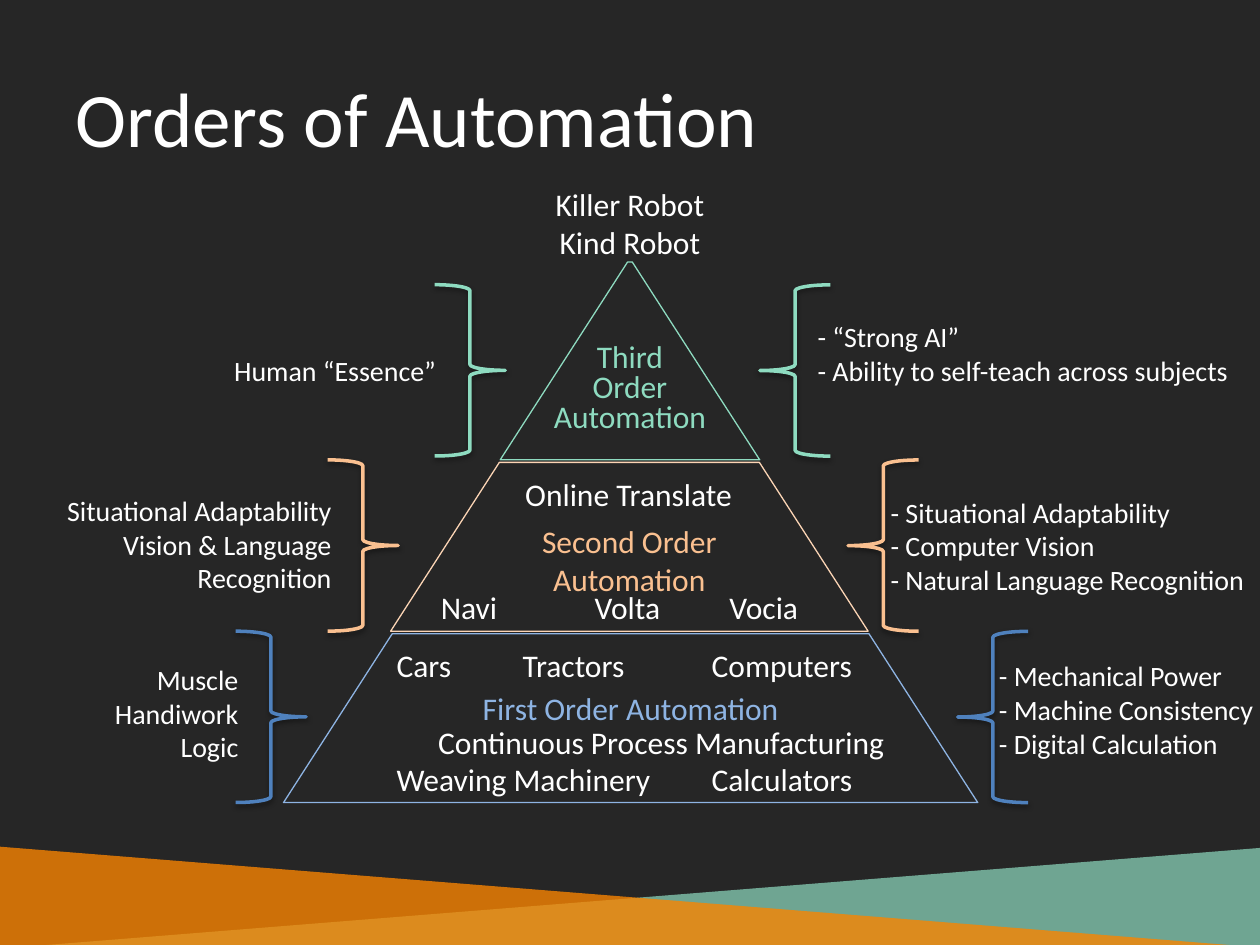
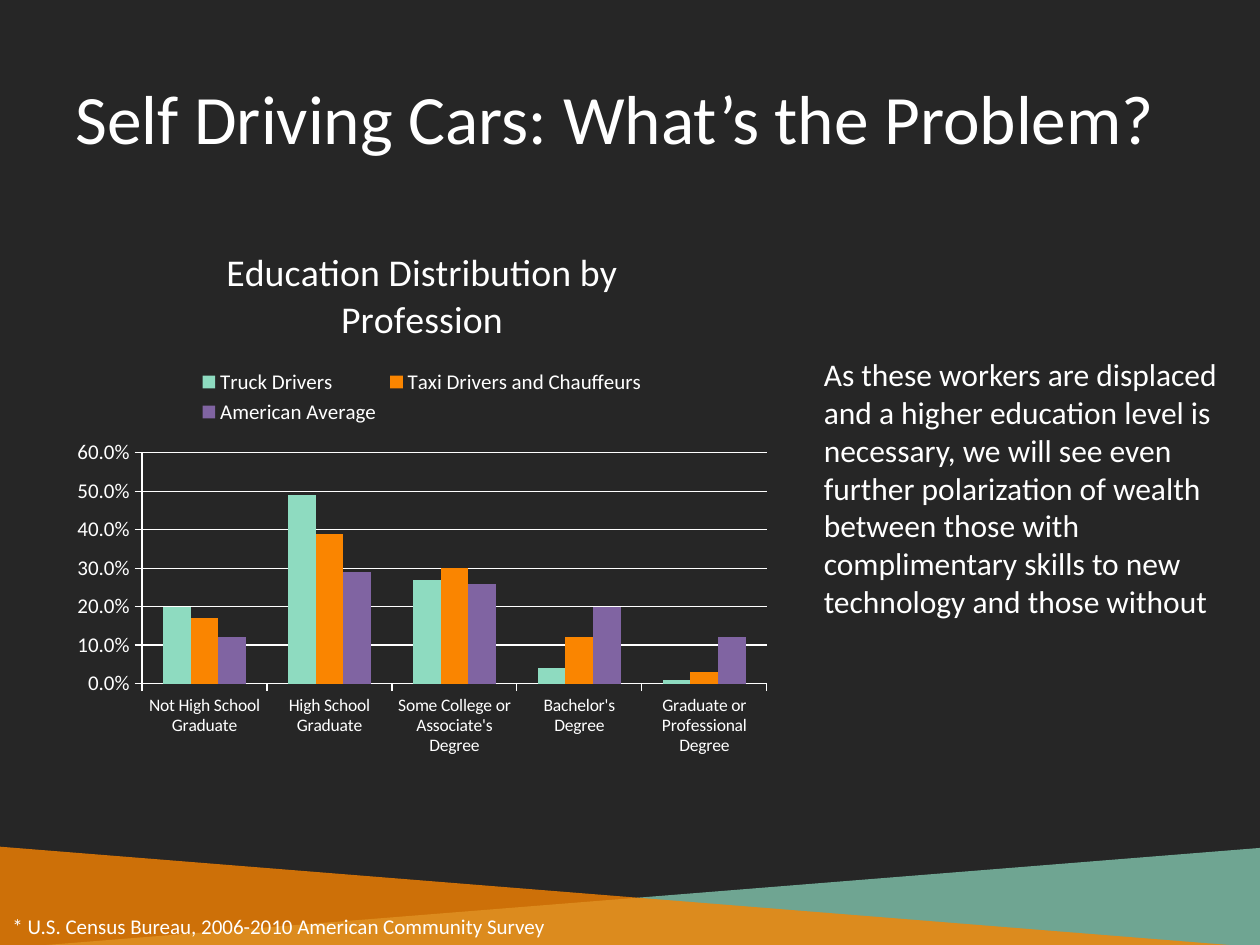
from lxml.etree import SubElement
from pptx import Presentation
from pptx.chart.data import CategoryChartData
from pptx.dml.color import RGBColor
from pptx.enum.chart import XL_CHART_TYPE, XL_LEGEND_POSITION, XL_TICK_MARK
from pptx.enum.shapes import MSO_SHAPE
from pptx.enum.text import MSO_ANCHOR, PP_ALIGN
from pptx.oxml.ns import qn
from pptx.util import Inches, Pt

COLORS = {
    "background": "262626", "text": "FFFFFF", "mint": "8EDBC0",
    "orange": "FA8500", "peach": "FAC090", "pale peach": "FCD5B5",
    "blue": "4F81BD", "pale blue": "8EB4E3", "purple": "8064A2",
    "shadow": "000000",
}
RGB = {name: RGBColor.from_string(value) for name, value in COLORS.items()}
FONT = "Calibri"


def write(shape, lines, size=18, color="text", anchor=MSO_ANCHOR.TOP, **paragraph_format):
    """Fill a shape's text frame, one paragraph for each line."""
    frame = shape.text_frame
    frame.word_wrap = True
    frame.vertical_anchor = anchor
    for index, line in enumerate(lines):
        para = frame.paragraphs[0] if index == 0 else frame.add_paragraph()
        for name, value in paragraph_format.items():
            setattr(para, name, value)
        span = para.add_run()
        span.text = line
        for name, value in {"name": FONT, "size": Pt(size), "bold": False}.items():
            setattr(span.font, name, value)
        span.font.color.rgb = RGB[color]
    return frame


def add_outline(page, kind, at, color, width):
    """Add an unfilled preset shape with a coloured line."""
    shape = page.shapes.add_shape(kind, *map(Inches, at))
    shape.shadow.inherit = False
    shape.fill.background()
    shape.line.color.rgb = RGB[color]
    shape.line.width = Pt(width)
    return shape


deck = Presentation()
deck.slide_width, deck.slide_height = Inches(10), Inches(7.5)

# Shared background, bottom bands and title
titles = [("Orders of Automation", 44), ("Self Driving Cars: What’s the Problem?", 39.6)]
bands = [(6.73, "mint", 70, True), (6.72, "orange", 79, False)]
pages = []
for title, size in titles:
    page = deck.slides.add_slide(deck.slide_layouts[6])
    page.background.fill.solid()
    page.background.fill.fore_color.rgb = RGB["background"]
    for top, color, opacity, flipped in bands:
        band = page.shapes.add_shape(
            MSO_SHAPE.RIGHT_TRIANGLE, 0, Inches(top), deck.slide_width, Inches(0.8))
        band.shadow.inherit = False
        band.line.fill.background()
        band.fill.solid()
        band.fill.fore_color.rgb = RGB[color]
        tint = band.fill._xPr.find(qn("a:solidFill"))[0]
        SubElement(tint, qn("a:alpha"), val=str(opacity * 1000))
        if flipped:
            band._element.spPr.find(qn("a:xfrm")).set("flipH", "1")
    box = page.shapes.add_textbox(*map(Inches, (0.5, 0.3, 9, 1.25)))
    write(box, [title], size, anchor=MSO_ANCHOR.MIDDLE)
    pages.append(page)
pyramid_page, chart_page = pages

# Pyramid levels, from the base to the tip
levels = [
    {"at": (2.25, 5.03, 5.51, 1.34), "edge": "pale blue", "ink": "pale blue",
     "name": "First Order Automation", "brace": "blue", "brace_top": 5.01,
     "brace_lefts": (1.87, 7.6)},
    {"at": (3.1, 3.67, 3.79, 1.34), "edge": "pale peach", "ink": "peach",
     "name": "Second Order Automation", "brace": "peach", "brace_top": 3.65,
     "brace_lefts": (2.6, 6.73)},
    {"at": (3.97, 2.08, 2.06, 1.57), "edge": "mint", "ink": "mint",
     "name": None, "brace": "mint", "brace_top": 2.26,
     "brace_lefts": (3.45, 6.03)},
]
for level in levels:
    block = add_outline(pyramid_page, MSO_SHAPE.TRAPEZOID, level["at"], level["edge"], 0.75)
    block.adjustments[0] = 0.644
    if level["name"]:
        frame = write(block, [level["name"]], color=level["ink"],
                      anchor=MSO_ANCHOR.MIDDLE, alignment=PP_ALIGN.CENTER)
        if level is levels[0]:
            frame.margin_bottom = Inches(0.35)
    for left, rotation in zip(level["brace_lefts"], (0, 180)):
        brace = add_outline(pyramid_page, MSO_SHAPE.RIGHT_BRACE,
                            (left, level["brace_top"], 0.56, 1.36), level["brace"], 2)
        brace.rotation = rotation
        effects = brace._element.spPr.find(qn("a:effectLst"))
        shadow = SubElement(effects, qn("a:outerShdw"), blurRad=str(Pt(3.1)),
                            dist=str(Pt(1.6)), dir="5400000", rotWithShape="0")
        tint = SubElement(shadow, qn("a:srgbClr"), val=COLORS["shadow"])
        SubElement(tint, qn("a:alpha"), val="38000")

# Name of the top level
box = pyramid_page.shapes.add_textbox(*map(Inches, (3.88, 2.63, 2.24, 0.87)))
write(box, ["Third", "Order", "Automation"], color="mint", anchor=MSO_ANCHOR.BOTTOM,
      alignment=PP_ALIGN.CENTER, line_spacing=0.8)

# Labels beside the braces and above the tip
labels = [
    ((0.27, 5.21, 1.72, 0.94), 16, PP_ALIGN.RIGHT, ["Muscle", "Handiwork", "Logic"]),
    ((0.1, 3.87, 2.63, 0.91), 16, PP_ALIGN.RIGHT,
     ["Situational Adaptability", "Vision & Language Recognition"]),
    ((0.93, 2.76, 2.63, 0.37), 16, PP_ALIGN.RIGHT, ["Human “Essence”"]),
    ((7.83, 5.18, 2.25, 0.91), 16, PP_ALIGN.LEFT,
     ["- Mechanical Power", "- Machine Consistency", "- Digital Calculation"]),
    ((6.97, 3.88, 3.11, 0.91), 16, PP_ALIGN.LEFT,
     ["- Situational Adaptability", "- Computer Vision", "- Natural Language Recognition"]),
    ((6.39, 2.49, 3.69, 0.64), 16, PP_ALIGN.LEFT,
     ["- “Strong AI”", "- Ability to self-teach across subjects"]),
    ((4, 1.42, 2, 0.71), 18, PP_ALIGN.CENTER, ["Killer Robot", "Kind Robot"]),
]
for at, size, alignment, lines in labels:
    box = pyramid_page.shapes.add_textbox(*map(Inches, at))
    write(box, lines, size, alignment=alignment)

# Examples in the pyramid: line, space before, indent, tab stops
examples = [
    ((3.05, 5.08, 4.13, 1.31), [
        ("Cars\tTractors\tComputers", 0, 0, (1, 2.5)),
        ("Continuous Process Manufacturing", 22, 0.33, ()),
        ("Weaving Machinery\tCalculators", 0, 0, (2.5,))]),
    ((3.4, 3.72, 3.75, 1.31), [
        ("Online Translate", 0, 0.67, ()),
        ("Navi\tVolta\tVocia", 43, 0, (1.22, 2.29))]),
]
for at, rows in examples:
    box = pyramid_page.shapes.add_textbox(*map(Inches, at))
    frame = write(box, [row[0] for row in rows])
    for para, (_, space, indent, stops) in zip(frame.paragraphs, rows):
        para.space_before = Pt(space)
        properties = para._p.get_or_add_pPr()
        properties.set("marL", str(Inches(indent)))
        if stops:
            tabs = SubElement(properties, qn("a:tabLst"))
            for stop in stops:
                SubElement(tabs, qn("a:tab"), pos=str(Inches(stop)), algn="l")

# Education chart
data = CategoryChartData(number_format="0.0%")
data.categories = ["Not High School Graduate", "High School Graduate",
                   "Some College or Associate's Degree", "Bachelor's Degree",
                   "Graduate or Professional Degree"]
professions = [
    ("Truck Drivers", "mint", (0.2, 0.49, 0.27, 0.04, 0.01)),
    ("Taxi Drivers and Chauffeurs", "orange", (0.17, 0.39, 0.3, 0.12, 0.03)),
    ("American Average", "purple", (0.12, 0.29, 0.26, 0.2, 0.12)),
]
for name, _, values in professions:
    data.add_series(name, values)
chart = chart_page.shapes.add_chart(
    XL_CHART_TYPE.COLUMN_CLUSTERED, *map(Inches, (0.5, 1.75, 5.7, 4.33)), data).chart
chart.has_title = True
heading = write(chart.chart_title, ["Education Distribution by Profession"], 21.6)
heading.word_wrap = False
chart.chart_title.include_in_layout = False
chart.has_legend = True
chart.legend.position = XL_LEGEND_POSITION.TOP
chart.legend.include_in_layout = False
for part, size in [(chart, 18), (chart.legend, 12)]:
    part.font.name, part.font.size = FONT, Pt(size)
    part.font.color.rgb = RGB["text"]
for axis, size in [(chart.category_axis, 10), (chart.value_axis, 12)]:
    labels_font = axis.tick_labels.font
    labels_font.name, labels_font.size = FONT, Pt(size)
    labels_font.color.rgb = RGB["text"]
    axis.major_tick_mark = XL_TICK_MARK.OUTSIDE
    axis.format.line.color.rgb = RGB["text"]
scale = chart.value_axis
for name, value in {"minimum_scale": 0, "maximum_scale": 0.6, "major_unit": 0.1,
                    "has_major_gridlines": True}.items():
    setattr(scale, name, value)
scale.major_gridlines.format.line.color.rgb = RGB["text"]
scale.tick_labels.number_format = "0.0%"
scale.tick_labels.number_format_is_linked = False
plot = chart.plots[0]
plot.gap_width, plot.overlap, plot.vary_by_categories = 150, 0, False
for series, (_, color, _) in zip(plot.series, professions):
    series.format.fill.solid()
    series.format.fill.fore_color.rgb = RGB[color]

# Source note and conclusion
notes = [
    ((0, 7.2, 4.6, 0.3), 12, "* U.S. Census Bureau, 2006-2010 American Community Survey"),
    ((6.44, 2.77, 3.34, 2.22), 18,
     "As these workers are displaced and a higher education level is necessary, "
     "we will see even further polarization of wealth between those with "
     "complimentary skills to new technology and those without"),
]
for at, size, sentence in notes:
    box = chart_page.shapes.add_textbox(*map(Inches, at))
    write(box, [sentence], size)

deck.save("out.pptx")
